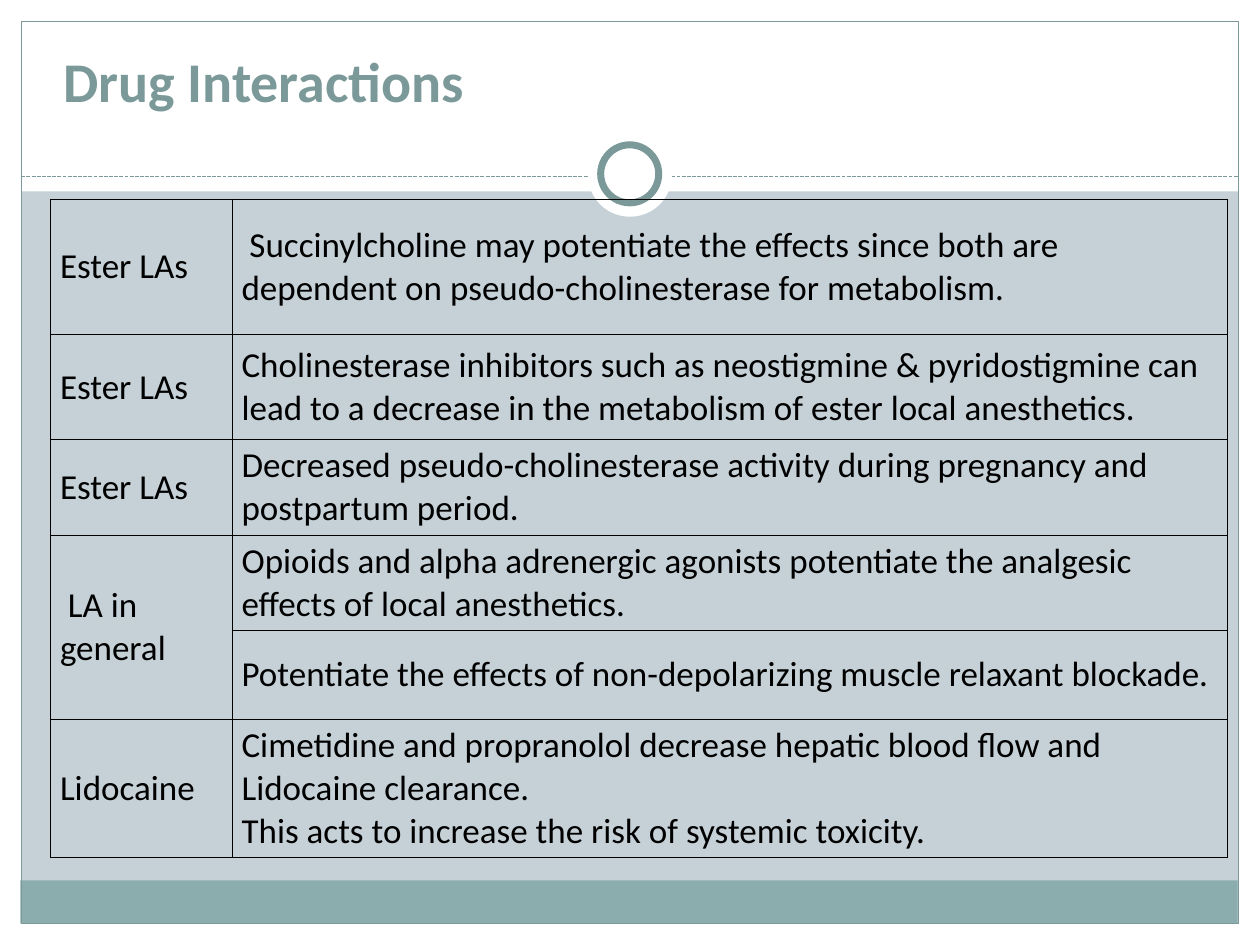
from dataclasses import dataclass
from typing import Optional

import lxml.etree
import pptx
import pptx.dml.color
import pptx.enum.dml
import pptx.enum.shapes
import pptx.enum.text
import pptx.oxml
import pptx.oxml.ns
import pptx.util

Cm = pptx.util.Cm
Pt = pptx.util.Pt
Kind = pptx.enum.shapes.MSO_SHAPE
Anchor = pptx.enum.text.MSO_ANCHOR
WIDE, HIGH, EDGE = 25.4, 19.05, 0.43


@dataclass(frozen=True)
class Theme:
    back: str = "C5D1D7"
    white: str = "FFFFFF"
    band: str = "8CADAE"
    line: str = "7C999A"
    ink: str = "000000"
    font: str = "Calibri"
    title: float = 32
    body: float = 20
    thin: float = 0.75
    ring: float = 4
    grid: float = 0.5


@dataclass(frozen=True)
class Block:
    left: float
    top: float
    width: float
    height: float
    kind: Kind = Kind.RECTANGLE
    fill: Optional[str] = None
    line: Optional[str] = None
    weight: float = 0.75


@dataclass(frozen=True)
class Row:
    drug: str
    effect: str
    height: float


THEME = Theme()

BLOCKS = [
    Block(0, HIGH - EDGE, WIDE, EDGE, fill=THEME.white),
    Block(0, 0, WIDE, 3.86, fill=THEME.white),
    Block(0, 0, EDGE, HIGH, fill=THEME.white),
    Block(WIDE - EDGE, 0, EDGE, HIGH, fill=THEME.white),
    Block(0.41, 17.75, 24.54, 0.87, fill=THEME.band),
    Block(EDGE, EDGE, WIDE - 2 * EDGE, HIGH - 2 * EDGE, line=THEME.line, weight=THEME.thin),
]
RINGS = [
    Block(11.85, 2.67, 1.7, 1.7, Kind.OVAL, THEME.white),
    Block(12.11, 2.92, 1.17, 1.17, Kind.OVAL, THEME.white, THEME.line, THEME.ring),
]
COLS = [3.66, 20.06]
ROWS = [
    Row("Ester LAs", " Succinylcholine may potentiate the effects since both are "
        "dependent on pseudo-cholinesterase for metabolism.", 2.74),
    Row("Ester LAs", "Cholinesterase inhibitors such as neostigmine & pyridostigmine can "
        "lead to a decrease in the metabolism of ester local anesthetics.", 2.11),
    Row("Ester LAs", "Decreased pseudo-cholinesterase activity during pregnancy and "
        "postpartum period.", 1.91),
    Row(" LA in general", "Opioids and alpha adrenergic agonists potentiate the analgesic "
        "effects of local anesthetics.", 1.91),
    Row("", "Potentiate the effects of non-depolarizing muscle relaxant blockade.", 1.78),
    Row("Lidocaine", "Cimetidine and propranolol decrease hepatic blood flow and "
        "Lidocaine clearance.\nThis acts to increase the risk of systemic toxicity.", 2.78),
]


def rgb(code: str) -> pptx.dml.color.RGBColor:
    return pptx.dml.color.RGBColor.from_string(code)


def write(frame, text: str, *, size: float, color: str, bold: bool = False) -> None:
    frame.text = text
    frame.word_wrap = True
    for para in frame.paragraphs:
        para.alignment = pptx.enum.text.PP_ALIGN.LEFT
        for run in para.runs:
            font = run.font
            font.name, font.size, font.bold = THEME.font, Pt(size), bold
            font.color.rgb = rgb(color)


def draw(slide, block: Block) -> None:
    shape = slide.shapes.add_shape(
        block.kind, Cm(block.left), Cm(block.top), Cm(block.width), Cm(block.height))
    shape.shadow.inherit = False
    if block.fill:
        shape.fill.solid()
        shape.fill.fore_color.rgb = rgb(block.fill)
    else:
        shape.fill.background()
    if block.line:
        shape.line.color.rgb = rgb(block.line)
        shape.line.width = Pt(block.weight)
    else:
        shape.line.fill.background()


def rule(slide, top: float) -> None:
    line = slide.shapes.add_connector(
        pptx.enum.shapes.MSO_CONNECTOR.STRAIGHT, Cm(EDGE), Cm(top), Cm(WIDE - EDGE), Cm(top))
    line.line.color.rgb = rgb(THEME.line)
    line.line.width = Pt(THEME.thin)
    line.line.dash_style = pptx.enum.dml.MSO_LINE.SQUARE_DOT
    props = line.element.spPr
    lxml.etree.SubElement(props, pptx.oxml.ns.qn("a:effectLst"))


def border(cell) -> None:
    props = cell._tc.get_or_add_tcPr()
    for side in "LRTB":
        props.append(pptx.oxml.parse_xml(
            f'<a:ln{side} {pptx.oxml.ns.nsdecls("a")} w="{Pt(THEME.grid)}">'
            f'<a:solidFill><a:srgbClr val="{THEME.ink}"/></a:solidFill></a:ln{side}>'))


def fill(cell, text: str) -> None:
    border(cell)
    cell.fill.background()
    cell.vertical_anchor = Anchor.MIDDLE
    cell.margin_left = cell.margin_right = Cm(0.19)
    cell.margin_top = cell.margin_bottom = Cm(0.1)
    if text:
        write(cell.text_frame, text, size=THEME.body, color=THEME.ink)


def chart_drugs(slide) -> None:
    table = slide.shapes.add_table(
        len(ROWS), len(COLS), Cm(1.02), Cm(4.01),
        Cm(sum(COLS)), Cm(sum(row.height for row in ROWS))).table
    table.first_row = table.horz_banding = False
    for col, width in zip(table.columns, COLS):
        col.width = Cm(width)
    for i, row in enumerate(ROWS):
        table.rows[i].height = Cm(row.height)
        for j, text in enumerate((row.drug, row.effect)):
            fill(table.cell(i, j), text)
        if not row.drug:
            table.cell(i - 1, 0).merge(table.cell(i, 0))


def head(slide, text: str) -> None:
    title = slide.shapes.title
    title.left, title.top = Cm(1.02), Cm(EDGE)
    title.width, title.height = Cm(23.39), Cm(3.61)
    frame = title.text_frame
    write(frame, text, size=THEME.title, color=THEME.line, bold=True)
    frame.auto_size = pptx.enum.text.MSO_AUTO_SIZE.NONE
    frame.vertical_anchor = Anchor.TOP
    frame.margin_top = Cm(0.5)
    title.element.getparent().append(title.element)


def main() -> None:
    deck = pptx.Presentation()
    deck.slide_width, deck.slide_height = Cm(WIDE), Cm(HIGH)
    slide = deck.slides.add_slide(deck.slide_layouts[5])
    slide.background.fill.solid()
    slide.background.fill.fore_color.rgb = rgb(THEME.back)
    for block in BLOCKS:
        draw(slide, block)
    rule(slide, 3.56)
    for ring in RINGS:
        draw(slide, ring)
    head(slide, "Drug Interactions")
    chart_drugs(slide)
    deck.save("out.pptx")


if __name__ == "__main__":
    main()
